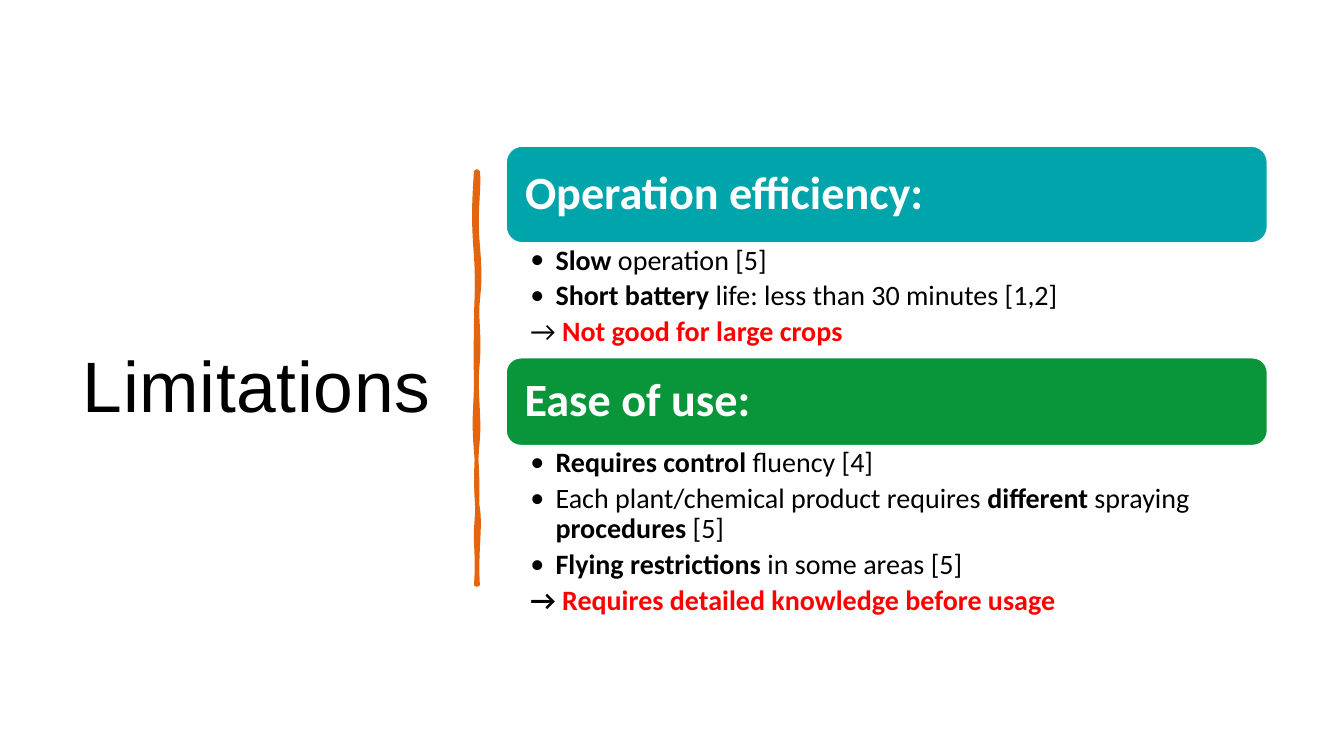
from dataclasses import dataclass

from lxml.etree import SubElement
from pptx import Presentation
from pptx.dml.color import RGBColor
from pptx.enum.shapes import MSO_SHAPE
from pptx.enum.text import MSO_ANCHOR, MSO_AUTO_SIZE, PP_ALIGN
from pptx.oxml.ns import qn
from pptx.util import Inches, Pt

TITLE = "Limitations"

# Each run is (text, style); the styles are "plain", "bold" and "alert".
# A line is (has bullet, runs).
SECTIONS = [
    {
        "heading": "Operation efficiency:",
        "color": "00A5AB",
        "heights": (0.96, 1.14),
        "lines": [
            (True, [("Slow", "bold"), (" operation [5]", "plain")]),
            (True, [("Short battery ", "bold"),
                    ("life: less than 30 minutes [1,2]", "plain")]),
            (False, [("→ ", "plain"), ("Not good for large crops", "alert")]),
        ],
    },
    {
        "heading": "Ease of use:",
        "color": "09963B",
        "heights": (0.87, 1.8),
        "lines": [
            (True, [("Requires control ", "bold"), ("fluency [4]", "plain")]),
            (True, [("Each plant/chemical product requires ", "plain"),
                    ("different", "bold"), (" spraying ", "plain"),
                    ("procedures ", "bold"), ("[5]", "plain")]),
            (True, [("Flying restrictions ", "bold"),
                    ("in some areas [5]", "plain")]),
            (False, [("→ ", "bold"),
                     ("Requires detailed knowledge before usage", "alert")]),
        ],
    },
]

# Brush stroke, in inches: cubic curves (two controls and an end) from the start
STROKE_START = (4.72, 1.7)
STROKE_EDGE = [
    ((4.73, 1.7), (4.73, 1.7), (4.74, 1.7)),
    ((4.76, 1.86), (4.71, 2.07), (4.74, 2.43)),
    ((4.77, 2.79), (4.75, 2.85), (4.74, 2.99)),
    ((4.72, 3.13), (4.76, 3.31), (4.74, 3.59)),
    ((4.71, 3.87), (4.76, 4.13), (4.74, 4.36)),
    ((4.72, 4.58), (4.71, 4.85), (4.74, 5.04)),
    ((4.77, 5.23), (4.72, 5.48), (4.74, 5.8)),
    ((4.73, 5.8), (4.73, 5.8), (4.72, 5.8)),
    ((4.74, 5.54), (4.71, 5.36), (4.72, 5.24)),
    ((4.73, 5.13), (4.75, 4.83), (4.72, 4.48)),
    ((4.69, 4.13), (4.72, 4.06), (4.72, 3.75)),
    ((4.71, 3.45), (4.72, 3.41), (4.72, 3.19)),
    ((4.72, 2.98), (4.74, 2.85), (4.72, 2.55)),
    ((4.7, 2.26), (4.69, 2.12), (4.72, 1.7)),
]
STROKE_BODY = [
    ((4.72, 1.7), (4.73, 1.7), (4.74, 1.7)),
    ((4.76, 1.95), (4.75, 2.01), (4.74, 2.26)),
    ((4.73, 2.52), (4.78, 2.8), (4.74, 3.03)),
    ((4.7, 3.26), (4.76, 3.44), (4.74, 3.71)),
    ((4.72, 3.99), (4.74, 4.17), (4.74, 4.31)),
    ((4.74, 4.46), (4.73, 4.63), (4.74, 4.92)),
    ((4.75, 5.2), (4.73, 5.44), (4.74, 5.8)),
    ((4.73, 5.8), (4.72, 5.8), (4.72, 5.8)),
    ((4.71, 5.68), (4.71, 5.36), (4.72, 5.24)),
    ((4.72, 5.13), (4.69, 4.78), (4.72, 4.6)),
    ((4.75, 4.42), (4.73, 4.23), (4.72, 3.96)),
    ((4.71, 3.69), (4.7, 3.43), (4.72, 3.23)),
    ((4.73, 3.04), (4.69, 2.81), (4.72, 2.59)),
    ((4.75, 2.37), (4.74, 2.11), (4.72, 1.7)),
]

SLIDE_SIZE = (13.33, 7.5)
TITLE_BOX = (0.7, 0.7, 3.74, 6.11)
COLUMN_LEFT, COLUMN_TOP, COLUMN_WIDTH = 5.02, 1.45, 7.55
HANGING_INDENT = 0.25


@dataclass(frozen=True)
class Theme:
    title_font: str = "Arial"
    body_font: str = "Calibri"
    title_size: float = 51
    heading_size: float = 33
    body_size: float = 20
    ink: str = "000000"
    paper: str = "FFFFFF"
    alert: str = "FF0000"
    stroke: str = "E4650E"


THEME = Theme()


def add_run(paragraph, text, font, size, color, bold=False):
    run = paragraph.add_run()
    run.text = text
    run.font.name = font
    run.font.size = Pt(size)
    run.font.bold = bold
    run.font.color.rgb = RGBColor.from_string(color)
    return run


def set_frame(frame, insets, anchor):
    """Wrap the text and set its left, top, right and bottom insets."""
    frame.word_wrap = True
    frame.auto_size = MSO_AUTO_SIZE.NONE
    frame.vertical_anchor = anchor
    (frame.margin_left, frame.margin_top,
     frame.margin_right, frame.margin_bottom) = map(Inches, insets)


def paint(shape, fill, line=None, width=0):
    shape.shadow.inherit = False
    shape.fill.solid()
    shape.fill.fore_color.rgb = RGBColor.from_string(fill)
    if line is None:
        shape.line.fill.background()
    else:
        shape.line.color.rgb = RGBColor.from_string(line)
        shape.line.width = Pt(width)


def add_backdrop(slide):
    backdrop = slide.shapes.add_shape(MSO_SHAPE.RECTANGLE, 0, 0, *map(Inches, SLIDE_SIZE))
    paint(backdrop, THEME.paper)
    slide.shapes.title._element.addprevious(backdrop._element)


def add_title(slide):
    title = slide.shapes.title
    title.left, title.top, title.width, title.height = map(Inches, TITLE_BOX)
    set_frame(title.text_frame, (0.12, 0.12, 0.12, 0.1), MSO_ANCHOR.MIDDLE)
    paragraph = title.text_frame.paragraphs[0]
    paragraph.alignment = PP_ALIGN.LEFT
    paragraph.line_spacing = 1.1
    run = add_run(paragraph, TITLE, THEME.title_font, THEME.title_size, THEME.ink)
    run.font._element.set("spc", "50")


def add_stroke(slide):
    """Draw the outlined edge and the filled body as two paths of one shape."""
    builder = slide.shapes.build_freeform(*map(Inches, STROKE_START))
    builder.add_line_segments([tuple(map(Inches, curve[-1])) for curve in STROKE_EDGE])
    stroke = builder.convert_to_shape()
    paint(stroke, THEME.stroke, THEME.stroke, 2.75)
    outlines = stroke._element.spPr.find(qn("a:custGeom")).find(qn("a:pathLst"))
    outlines.clear()
    for curves, option in ((STROKE_EDGE, {"fill": "none"}), (STROKE_BODY, {"stroke": "0"})):
        outline = SubElement(outlines, qn("a:path"), w=str(stroke.width),
                             h=str(stroke.height), **option)
        for tag, points in [("a:moveTo", [STROKE_START]),
                            *(("a:cubicBezTo", curve) for curve in curves)]:
            command = SubElement(outline, qn(tag))
            for x, y in points:
                SubElement(command, qn("a:pt"), x=str(Inches(x) - stroke.left),
                           y=str(Inches(y) - stroke.top))
        SubElement(outline, qn("a:close"))


def add_heading(slide, section, box):
    bar = slide.shapes.add_shape(MSO_SHAPE.ROUNDED_RECTANGLE, *map(Inches, box))
    paint(bar, section["color"], THEME.paper, 1)
    set_frame(bar.text_frame, (0.14,) * 4, MSO_ANCHOR.MIDDLE)
    paragraph = bar.text_frame.paragraphs[0]
    paragraph.alignment = PP_ALIGN.LEFT
    paragraph.line_spacing = 0.9
    add_run(paragraph, section["heading"], THEME.body_font,
            THEME.heading_size, THEME.paper, bold=True)


def add_lines(slide, lines, box):
    frame = slide.shapes.add_textbox(*map(Inches, box)).text_frame
    set_frame(frame, (0.24, 0.03, 0.16, 0.03), MSO_ANCHOR.TOP)
    for index, (has_bullet, runs) in enumerate(lines):
        paragraph = frame.add_paragraph() if index else frame.paragraphs[0]
        paragraph.line_spacing = 0.9
        paragraph.space_after = Pt(0.2 * THEME.body_size)
        properties = paragraph._p.get_or_add_pPr()
        properties.set("marL", str(Inches(HANGING_INDENT)))
        properties.set("indent", str(-Inches(HANGING_INDENT)))
        if has_bullet:
            SubElement(properties, qn("a:buFont"), typeface=THEME.body_font)
            SubElement(properties, qn("a:buChar"), char="•")
        for text, style in runs:
            add_run(paragraph, text, THEME.body_font, THEME.body_size,
                    THEME.alert if style == "alert" else THEME.ink,
                    bold=style != "plain")


def main():
    deck = Presentation()
    deck.slide_width, deck.slide_height = map(Inches, SLIDE_SIZE)
    slide = deck.slides.add_slide(deck.slide_layouts.get_by_name("Title Only"))
    add_backdrop(slide)
    add_title(slide)
    add_stroke(slide)
    top = COLUMN_TOP
    for section in SECTIONS:
        for add_part, content, height in zip(
                (add_heading, add_lines), (section, section["lines"]), section["heights"]):
            add_part(slide, content, (COLUMN_LEFT, top, COLUMN_WIDTH, height))
            top += height
    deck.save("out.pptx")


if __name__ == "__main__":
    main()
